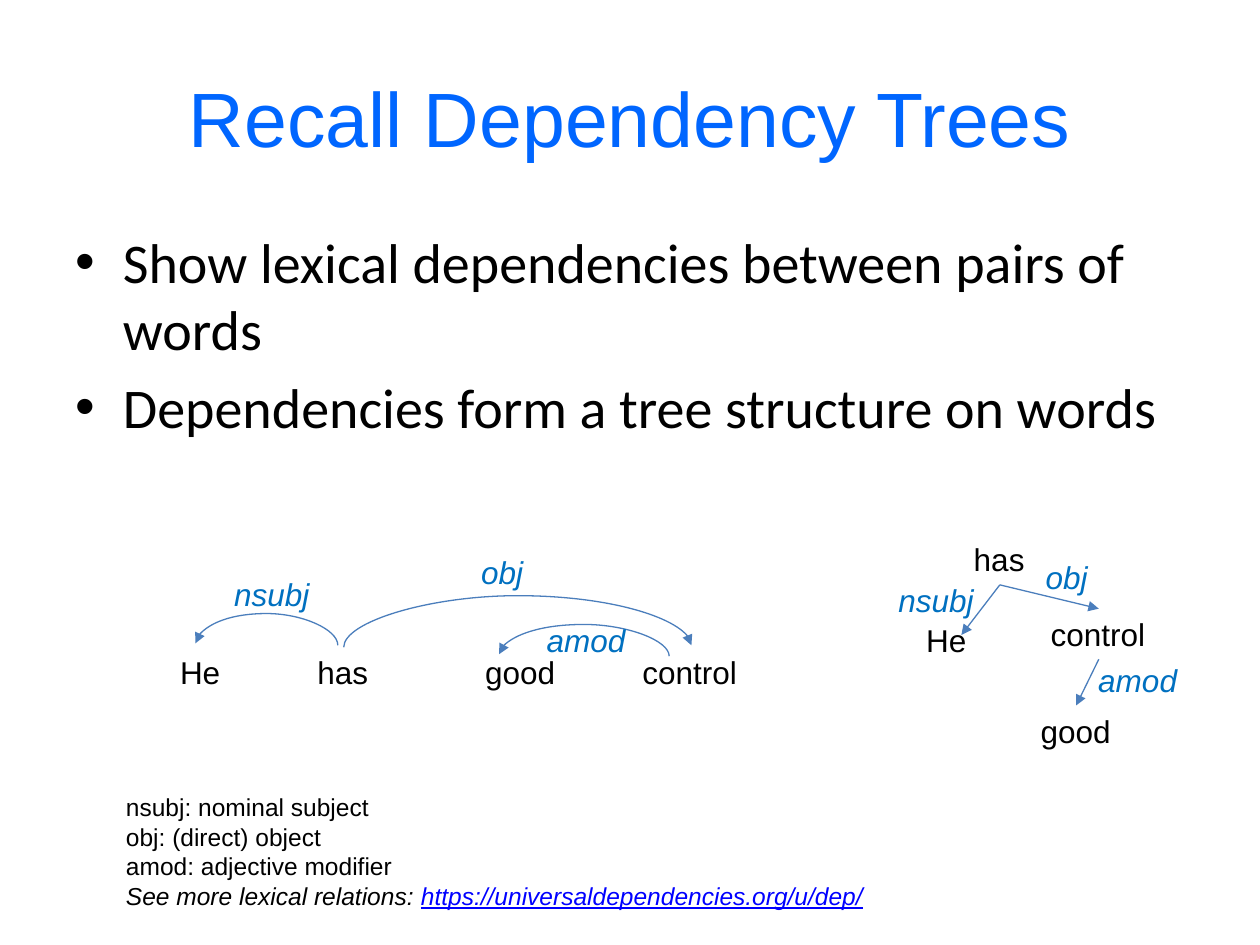
"""Build a slide that recalls dependency trees, as arcs over a sentence and as a tree."""
from dataclasses import dataclass
from typing import Optional

from lxml.etree import SubElement
from pptx import Presentation
from pptx.dml.color import RGBColor
from pptx.enum.shapes import MSO_CONNECTOR
from pptx.enum.text import MSO_ANCHOR, MSO_AUTO_SIZE, PP_ALIGN
from pptx.oxml.ns import qn
from pptx.shapes.autoshape import Shape
from pptx.shapes.connector import Connector
from pptx.slide import Slide
from pptx.text.text import _Paragraph as Paragraph
from pptx.util import Cm, Pt

COLORS = {"title": "0066FF", "text": "000000", "relation": "0070C0", "line": "4B7EBC", "link": "0000FF"}
WIDTHS = {"He": 1.32, "has": 1.55, "good": 1.93, "control": 2.44, "nsubj": 2.06, "obj": 1.37, "amod": 2.11}
LABEL_HEIGHT = 1.02
SENTENCE_TOP = 13.03
ARC_DEPTH = 0.04


@dataclass(frozen=True)
class Label:
    """A word or relation name with its top left corner in centimetres."""
    text: str
    left: float
    top: float


@dataclass(frozen=True)
class Arc:
    """A curved arrow from head word to dependent, in centimetres."""
    start: float
    end: float
    base: float
    rise: float


@dataclass(frozen=True)
class Branch:
    """A tree arrow between words; a loose end is given as a point."""
    head: str
    dependent: Optional[str] = None
    end: tuple[float, float] = (0, 0)


SENTENCE = [Label(word, left, SENTENCE_TOP) for word, left in
            [("He", 3.38), ("has", 6.15), ("good", 9.53), ("control", 12.7)]]
TREE = [Label("has", 19.38, 10.77), Label("He", 18.42, 12.4),
        Label("control", 20.93, 12.27), Label("good", 20.73, 14.22)]
RELATIONS = [Label("nsubj", 4.47, 11.46), Label("obj", 9.45, 11.02), Label("amod", 10.77, 12.4),
             Label("nsubj", 17.86, 11.58), Label("obj", 20.83, 11.13), Label("amod", 21.89, 13.21)]
ARCS = [Arc(6.81, 3.94, 12.99, 0.64), Arc(6.93, 13.94, 13.03, 1.04), Arc(13.49, 10.06, 13.21, 0.64)]
BRANCHES = [Branch("has", end=(19.38, 12.8)), Branch("has", "control"), Branch("control", "good")]
LEGEND = ["nsubj: nominal subject", "obj: (direct) object", "amod: adjective modifier"]


def add_run(paragraph: Paragraph, text: str, size: float, color: str = "text", font: str = "Arial",
            italic: bool = False, underline: bool = False) -> None:
    """Append one formatted run."""
    run = paragraph.add_run()
    run.text = text
    run.font.name = font
    run.font.size = Pt(size)
    run.font.color.rgb = RGBColor.from_string(COLORS[color])
    if italic:
        run.font.italic = True
    if underline:
        run.font.underline = True


def place(shape: Shape, left: float, top: float, width: float, height: float) -> None:
    """Move and size a shape in centimetres."""
    shape.left, shape.top, shape.width, shape.height = Cm(left), Cm(top), Cm(width), Cm(height)


def add_title(slide: Slide) -> None:
    """Fill the title placeholder."""
    title = slide.shapes.title
    place(title, 1.27, 0.76, 22.86, 3.18)
    title.text_frame.vertical_anchor = MSO_ANCHOR.MIDDLE
    paragraph = title.text_frame.paragraphs[0]
    paragraph.alignment = PP_ALIGN.CENTER
    add_run(paragraph, "Recall Dependency Trees", 44, "title")


def add_body(slide: Slide) -> None:
    """Fill the bulleted body placeholder."""
    body = slide.placeholders[1]
    place(body, 1.27, 4.45, 22.86, 12.57)
    frame = body.text_frame
    frame.auto_size = MSO_AUTO_SIZE.NONE
    add_run(frame.paragraphs[0], "Show lexical dependencies between pairs of words", 32, font="Calibri")
    add_run(frame.add_paragraph(), "Dependencies form a tree structure on words", 32, font="Calibri")


def add_label(slide: Slide, label: Label, color: str = "text", italic: bool = False) -> Shape:
    """Add a single-line label."""
    box = slide.shapes.add_textbox(Cm(label.left), Cm(label.top), Cm(WIDTHS[label.text]), Cm(LABEL_HEIGHT))
    box.text_frame.word_wrap = False
    box.text_frame.auto_size = MSO_AUTO_SIZE.SHAPE_TO_FIT_TEXT
    add_run(box.text_frame.paragraphs[0], label.text, 18, color, italic=italic)
    return box


def style_arrow(connector: Connector) -> None:
    """Give a connector its thin line and arrowhead, without a shadow."""
    connector.line.color.rgb = RGBColor.from_string(COLORS["line"])
    connector.line.width = Pt(0.75)
    SubElement(connector.line._get_or_add_ln(), qn("a:tailEnd"), type="triangle")
    SubElement(connector._element.spPr, qn("a:effectLst"))


def add_arc(slide: Slide, arc: Arc) -> None:
    """Add a curved connector, drawn upright and turned a quarter."""
    center, span = (arc.start + arc.end) / 2, abs(arc.end - arc.start)
    sides = [center - ARC_DEPTH / 2, center + ARC_DEPTH / 2]
    rightward = arc.end > arc.start
    begin, end = reversed(sides) if rightward else sides
    connector = slide.shapes.add_connector(MSO_CONNECTOR.CURVE, Cm(begin), Cm(arc.base + span / 2),
                                           Cm(end), Cm(arc.base - span / 2))
    properties = connector._element.spPr
    properties.find(qn("a:xfrm")).set("rot", str((90 if rightward else 270) * 60000))
    adjustments = properties.find(qn("a:prstGeom")).get_or_add_avLst()
    SubElement(adjustments, qn("a:gd"), name="adj1", fmla=f"val {round(arc.rise / ARC_DEPTH * 100000)}")
    style_arrow(connector)


def add_branch(slide: Slide, branch: Branch, words: dict[str, Shape]) -> None:
    """Add a straight arrow below its head word."""
    x, y = branch.end
    connector = slide.shapes.add_connector(MSO_CONNECTOR.STRAIGHT, Cm(0), Cm(0), Cm(x), Cm(y))
    connector.begin_connect(words[branch.head], 2)
    if branch.dependent:
        connector.end_connect(words[branch.dependent], 0)
    style_arrow(connector)


def add_legend(slide: Slide) -> None:
    """Explain the relation names."""
    box = slide.shapes.add_textbox(Cm(2.29), Cm(15.85), Cm(15.57), Cm(2.64))
    frame = box.text_frame
    frame.word_wrap = True
    frame.auto_size = MSO_AUTO_SIZE.SHAPE_TO_FIT_TEXT
    for index, line in enumerate(LEGEND):
        add_run(frame.add_paragraph() if index else frame.paragraphs[0], line, 14)
    paragraph = frame.add_paragraph()
    add_run(paragraph, "See more lexical relations: ", 14, italic=True)
    add_run(paragraph, "https://universaldependencies.org/u/dep/", 14, "link", italic=True, underline=True)


def main() -> None:
    """Build and save the presentation."""
    presentation = Presentation()
    presentation.slide_width, presentation.slide_height = Cm(25.4), Cm(19.05)
    slide = presentation.slides.add_slide(presentation.slide_layouts[1])
    add_title(slide)
    add_body(slide)
    for label in SENTENCE:
        add_label(slide, label)
    for arc in ARCS:
        add_arc(slide, arc)
    add_legend(slide)
    words = {label.text: add_label(slide, label) for label in TREE}
    for branch in BRANCHES:
        add_branch(slide, branch, words)
    for label in RELATIONS:
        add_label(slide, label, "relation", italic=True)
    presentation.save("out.pptx")


if __name__ == "__main__":
    main()
